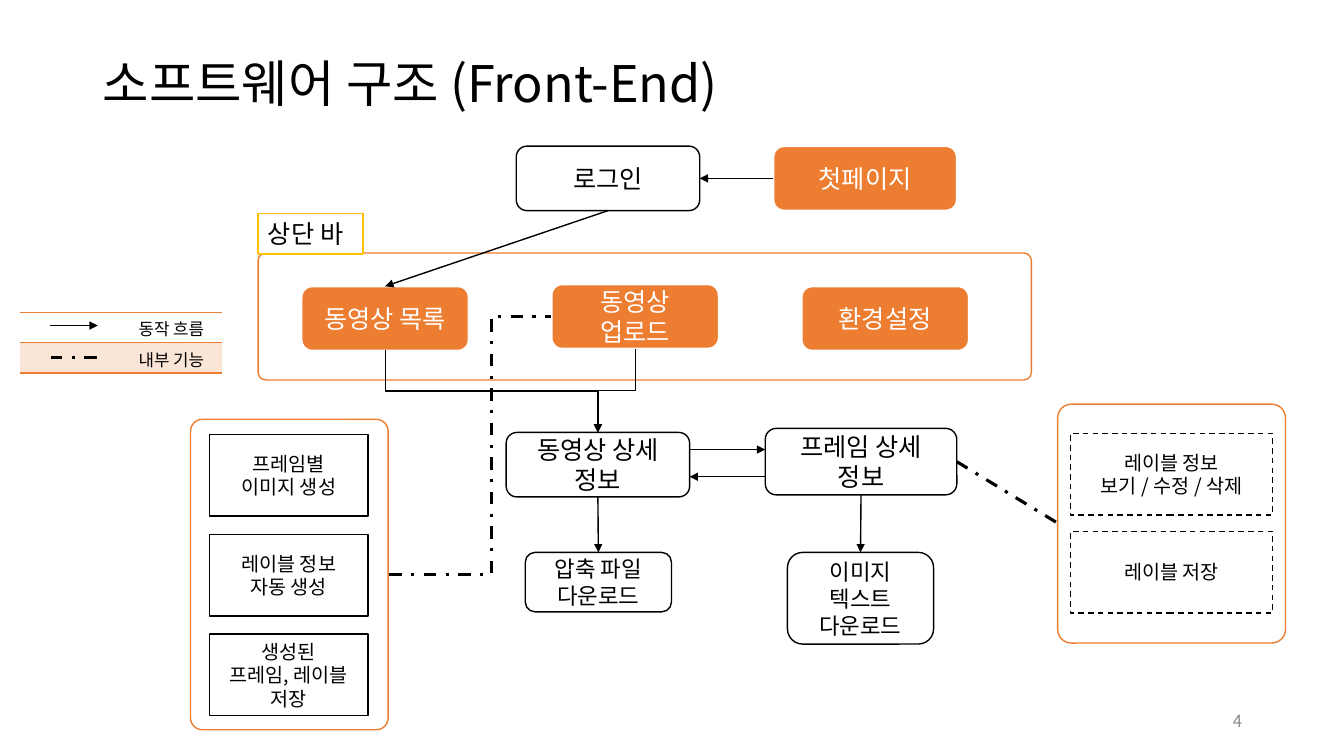
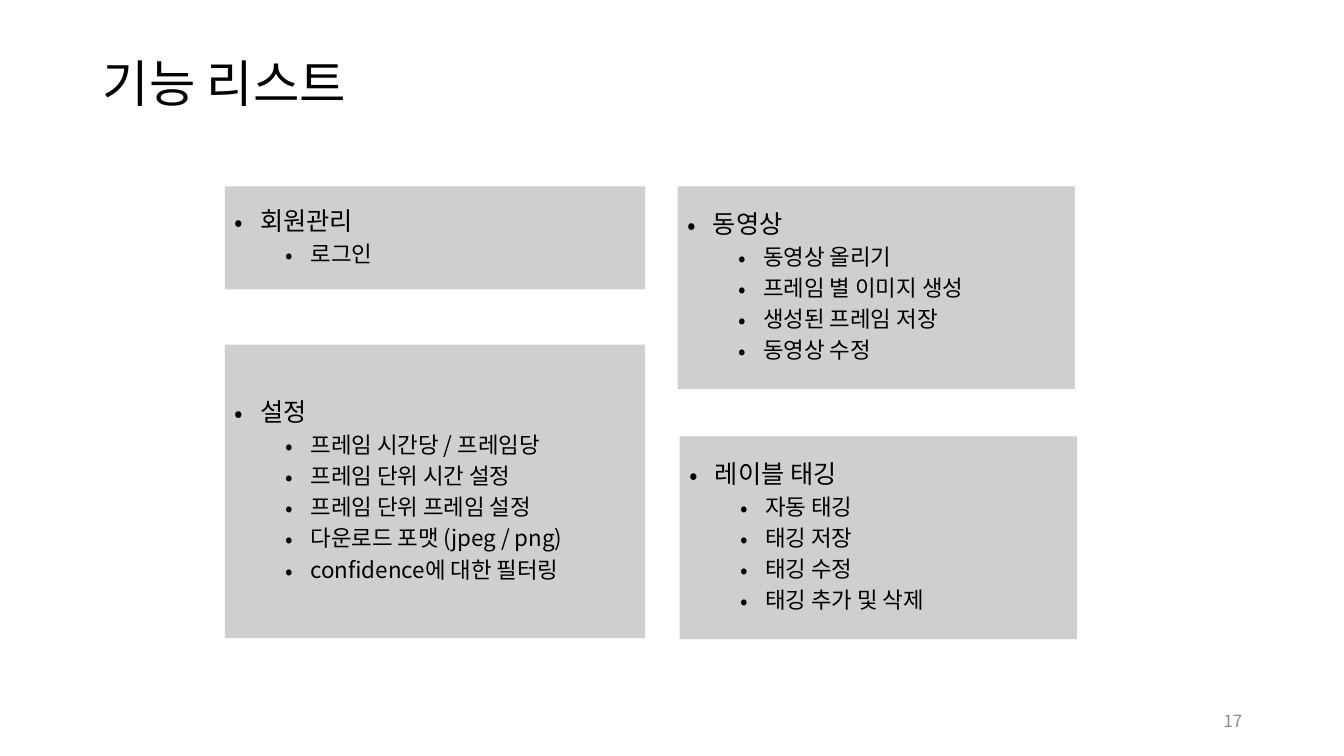
from dataclasses import dataclass

from lxml.etree import SubElement
from pptx import Presentation
from pptx.dml.color import RGBColor
from pptx.enum.dml import MSO_LINE
from pptx.enum.shapes import MSO_CONNECTOR, MSO_SHAPE
from pptx.enum.text import MSO_ANCHOR, MSO_AUTO_SIZE, PP_ALIGN
from pptx.oxml.ns import qn
from pptx.util import Inches, Pt


@dataclass(frozen=True)
class Theme:
    font: str = "Noto Sans CJK KR"
    ink: str = "000000"
    white: str = "FFFFFF"
    accent: str = "ED7D31"
    tint: str = "FBE5D6"
    gold: str = "FFC000"
    gray: str = "D0CECE"
    mute: str = "8C8C8C"
    title: int = 36
    head: int = 18
    item: int = 16
    note: int = 14
    small: int = 12


THEME = Theme()
BOX = dict(fill=THEME.white, line=THEME.ink, width=1, size=THEME.head)
KEY = dict(BOX, fill=THEME.accent, line=THEME.white, width=1.5, color=THEME.white)
FILE = dict(BOX, size=THEME.item)
NOTE = dict(BOX, size=THEME.note, kind=MSO_SHAPE.RECTANGLE)
DASH = dict(NOTE, dash=MSO_LINE.DASH)
PANEL = dict(BOX, line=THEME.accent, curve=0.06)
TAB = dict(BOX, line=THEME.gold, kind=MSO_SHAPE.RECTANGLE,
           align=PP_ALIGN.LEFT, anchor=MSO_ANCHOR.TOP)
FLOW = dict(width=1, head=True)
INNER = dict(width=2.25, dash=MSO_LINE.DASH_DOT)
TOP, LEFT, BOTTOM, RIGHT = range(4)


def rgb(code):
    return RGBColor.from_string(code)


def apply(thing, **values):
    for key, value in values.items():
        setattr(thing, key, value)


def place(shape, at):
    apply(shape, **dict(zip(("left", "top", "width", "height"), map(Inches, at))))


class Deck:
    def __init__(self, theme):
        self.theme = theme
        self.show = Presentation()
        apply(self.show, slide_width=Inches(13.33), slide_height=Inches(7.5))
        self.slide = None

    def style(self, para, size, color=None, align=PP_ALIGN.LEFT, **values):
        apply(para, alignment=align, **values)
        for run in para.runs:
            apply(run.font, name=self.theme.font, size=Pt(size), bold=False)
            run.font.color.rgb = rgb(color or self.theme.ink)
            SubElement(run.font._element, qn("a:ea"), typeface=self.theme.font)

    def label(self, frame, text, size, anchor=MSO_ANCHOR.MIDDLE, **values):
        apply(frame, text=text, word_wrap=True, vertical_anchor=anchor,
              auto_size=MSO_AUTO_SIZE.NONE)
        for para in frame.paragraphs:
            self.style(para, size, **values)

    def page(self, layout, title, number):
        self.slide = self.show.slides.add_slide(self.show.slide_layouts[layout])
        head = self.slide.shapes.title
        place(head, (0.92, 0.4, 11.5, 0.91))
        self.label(head.text_frame, title, self.theme.title, line_spacing=0.9)
        foot = self.slide.shapes.add_textbox(*map(Inches, (9.42, 6.95, 3, 0.4)))
        self.label(foot.text_frame, number, self.theme.small,
                   color=self.theme.mute, align=PP_ALIGN.RIGHT)

    def stroke(self, line, color, width, dash=None):
        line.color.rgb = rgb(color)
        line.width = Pt(width)
        if dash:
            line.dash_style = dash

    def box(self, at, text, fill, line, width, size, dash=None, curve=None,
            kind=MSO_SHAPE.ROUNDED_RECTANGLE, align=PP_ALIGN.CENTER, **values):
        shape = self.slide.shapes.add_shape(kind, *map(Inches, at))
        shape.shadow.inherit = False
        shape.fill.solid()
        shape.fill.fore_color.rgb = rgb(fill)
        self.stroke(shape.line, line, width, dash)
        if curve:
            shape.adjustments[0] = curve
        if text:
            self.label(shape.text_frame, text, size, align=align, **values)
        return shape

    def line(self, start, end, width, dash=None, head=False,
             kind=MSO_CONNECTOR.STRAIGHT):
        link = self.slide.shapes.add_connector(kind, *map(Inches, (*start, *end)))
        self.stroke(link.line, self.theme.ink, width, dash)
        props = link._element.spPr
        if head:
            SubElement(props.find(qn("a:ln")), qn("a:tailEnd"), type="triangle")
        SubElement(props, qn("a:effectLst"))
        return link

    def join(self, first, out, last, into):
        link = self.line((0, 0), (1, 1), **FLOW)
        link.begin_connect(first, out)
        link.end_connect(last, into)

    def elbow(self, start, end, bend, **values):
        link = self.line(start, end, kind=MSO_CONNECTOR.ELBOW, **values)
        shape = link._element.spPr.find(qn("a:prstGeom"))
        guides = shape.find(qn("a:avLst"))
        if guides is None:
            guides = SubElement(shape, qn("a:avLst"))
        SubElement(guides, qn("a:gd"), name="adj1", fmla=f"val {round(bend * 100000)}")
        return link

    def drop(self, start, end, **values):
        (x, y), (right, low) = start, end
        midx, midy = (x + right) / 2, (y + low) / 2
        side = 1 if right > x else -1
        run, rise = side * (low - y) / 2, abs(right - x) / 2
        link = self.elbow((midx + run, midy - rise), (midx - run, midy + rise),
                          0.5, **values)
        turn = 270 if side > 0 else 90
        link._element.spPr.find(qn("a:xfrm")).set("rot", str(turn * 60000))

    def table(self, at, rows):
        grid = self.slide.shapes.add_table(
            len(rows), len(rows[0][0]), *map(Inches, at)).table
        apply(grid, first_row=False, horz_banding=False)
        for r, (texts, fill) in enumerate(rows):
            for c, text in enumerate(texts):
                cell = grid.cell(r, c)
                apply(cell, text=text, margin_top=Inches(0.04), margin_bottom=0)
                para = cell.text_frame.paragraphs[0]
                self.style(para, self.theme.small, align=PP_ALIGN.CENTER)
                if not text:
                    SubElement(para._p, qn("a:endParaRPr"),
                               sz=str(self.theme.small * 100))
                self.edge(cell)
                cell.fill.solid()
                cell.fill.fore_color.rgb = rgb(fill)

    def edge(self, cell):
        props = cell._tc.get_or_add_tcPr()
        for side in "LRTB":
            line = SubElement(props, qn(f"a:ln{side}"), w=str(Pt(1)))
            if side in "LR":
                SubElement(line, qn("a:noFill"))
            else:
                fill = SubElement(line, qn("a:solidFill"))
                SubElement(fill, qn("a:srgbClr"), val=self.theme.accent)

    def bullets(self, slot, at, head, items):
        body = self.slide.placeholders[slot]
        place(body, at)
        body.fill.solid()
        body.fill.fore_color.rgb = rgb(self.theme.gray)
        self.label(body.text_frame, "\n".join((head, *items)), self.theme.item,
                   line_spacing=0.9, space_before=Pt(5), level=1)
        first = body.text_frame.paragraphs[0]
        apply(first, level=0, space_before=Pt(10))
        for run in first.runs:
            run.font.size = Pt(self.theme.head)
        for para in body.text_frame.paragraphs:
            props = para._p.get_or_add_pPr()
            props.set("marL", str(Inches(0.75 if para.level else 0.25)))
            props.set("indent", str(Inches(-0.25)))
            SubElement(props, qn("a:buFont"), typeface=self.theme.font)
            SubElement(props, qn("a:buChar"), char="•")


def front(deck):
    deck.page(5, "소프트웨어 구조 (Front-End)", "4")
    first = deck.box((7.67, 1.45, 1.82, 0.64), "첫페이지", **KEY)
    login = deck.box((5.12, 1.45, 1.82, 0.64), "로그인", **BOX)
    clip = deck.box((5.02, 4.29, 1.82, 0.64), "동영상 상세 정보", **BOX)
    frame = deck.box((7.59, 4.25, 1.9, 0.66), "프레임 상세 정보", **BOX)

    deck.box((1.89, 4.16, 1.96, 3.08), "", **PANEL)
    for i, text in enumerate(("프레임별\n이미지 생성", "레이블 정보\n자동 생성",
                              "생성된\n프레임, 레이블 저장")):
        deck.box((2.08, 4.31 + i * 0.99, 1.57, 0.81), text, **NOTE)
    deck.box((10.49, 4.01, 2.26, 2.37), "", **PANEL)
    for i, text in enumerate(("레이블 정보\n보기 / 수정 / 삭제", "레이블 저장")):
        deck.box((10.62, 4.3 + i * 0.97, 2, 0.81), text, **DASH)
    deck.box((2.56, 2.51, 7.67, 1.26), "", **PANEL)
    menu = [deck.box((2.99 + i * 2.48, top, 1.66, 0.64), text, **KEY)
            for i, (text, top) in enumerate((("동영상 목록", 2.84),
                                             ("동영상\n업로드", 2.82),
                                             ("환경설정", 2.84)))]
    deck.box((2.56, 2.12, 1.04, 0.4), "상단 바", **TAB)
    pack = deck.box((5.21, 5.48, 1.45, 0.59), "압축 파일\n다운로드", **FILE)
    image = deck.box((7.81, 5.48, 1.45, 0.91), "이미지\n텍스트\n다운로드", **FILE)

    deck.join(first, LEFT, login, RIGHT)
    deck.join(login, BOTTOM, menu[0], TOP)
    deck.join(clip, BOTTOM, pack, TOP)
    deck.join(frame, BOTTOM, image, TOP)
    deck.line((6.84, 4.46), (7.59, 4.46), **FLOW)
    deck.line((7.59, 4.73), (6.84, 4.73), **FLOW)
    deck.drop((3.82, 3.47), (5.93, 4.29), **FLOW)
    deck.drop((6.3, 3.46), (5.93, 4.29), **FLOW)
    deck.elbow((3.86, 5.7), (5.47, 3.14), 0.63, **INNER)
    deck.line((9.49, 4.58), (10.49, 5.19), **INNER)

    deck.table((0.2, 3.1, 2, 0.6), ((("", "동작 흐름"), THEME.white),
                                    (("", "내부 기능"), THEME.tint)))
    deck.line((0.5, 3.23), (0.97, 3.23), **FLOW)
    deck.line((0.96, 3.55), (0.51, 3.55), **INNER)


def tasks(deck):
    deck.page(4, "기능 리스트", "17")
    deck.bullets(1, (2.23, 1.85, 4.17, 1.02), "회원관리", ("로그인",))
    deck.bullets(2, (6.72, 1.85, 3.94, 2.01), "동영상",
                 ("동영상 올리기", "프레임 별 이미지 생성", "생성된 프레임 저장",
                  "동영상 수정"))
    deck.bullets(3, (2.23, 3.42, 4.17, 2.91), "설정",
                 ("프레임 시간당 / 프레임당", "프레임 단위 시간 설정",
                  "프레임 단위 프레임 설정", "다운로드 포맷 (jpeg / png)",
                  "confidence에 대한 필터링"))
    deck.bullets(4, (6.74, 4.33, 3.94, 2.01), "레이블 태깅",
                 ("자동 태깅", "태깅 저장", "태깅 수정", "태깅 추가 및 삭제"))


def main():
    deck = Deck(THEME)
    front(deck)
    tasks(deck)
    deck.show.save("out.pptx")


if __name__ == "__main__":
    main()
